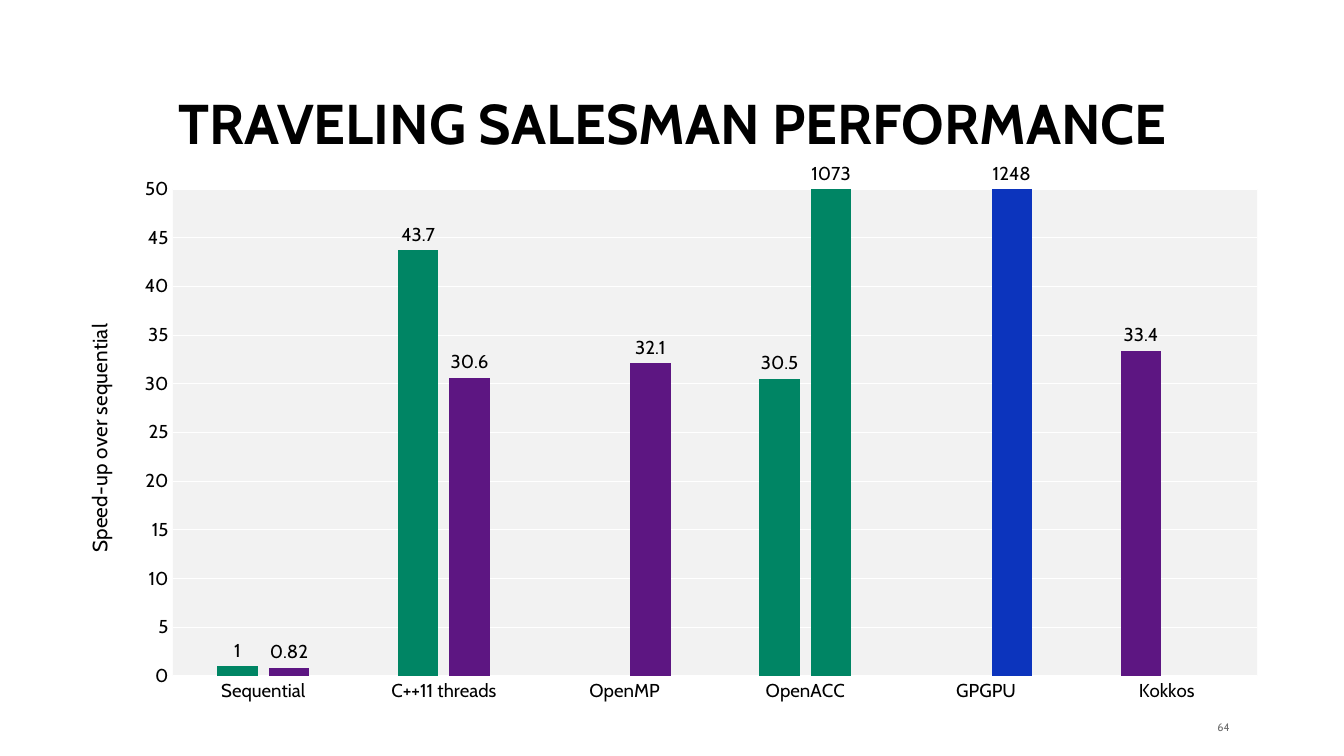
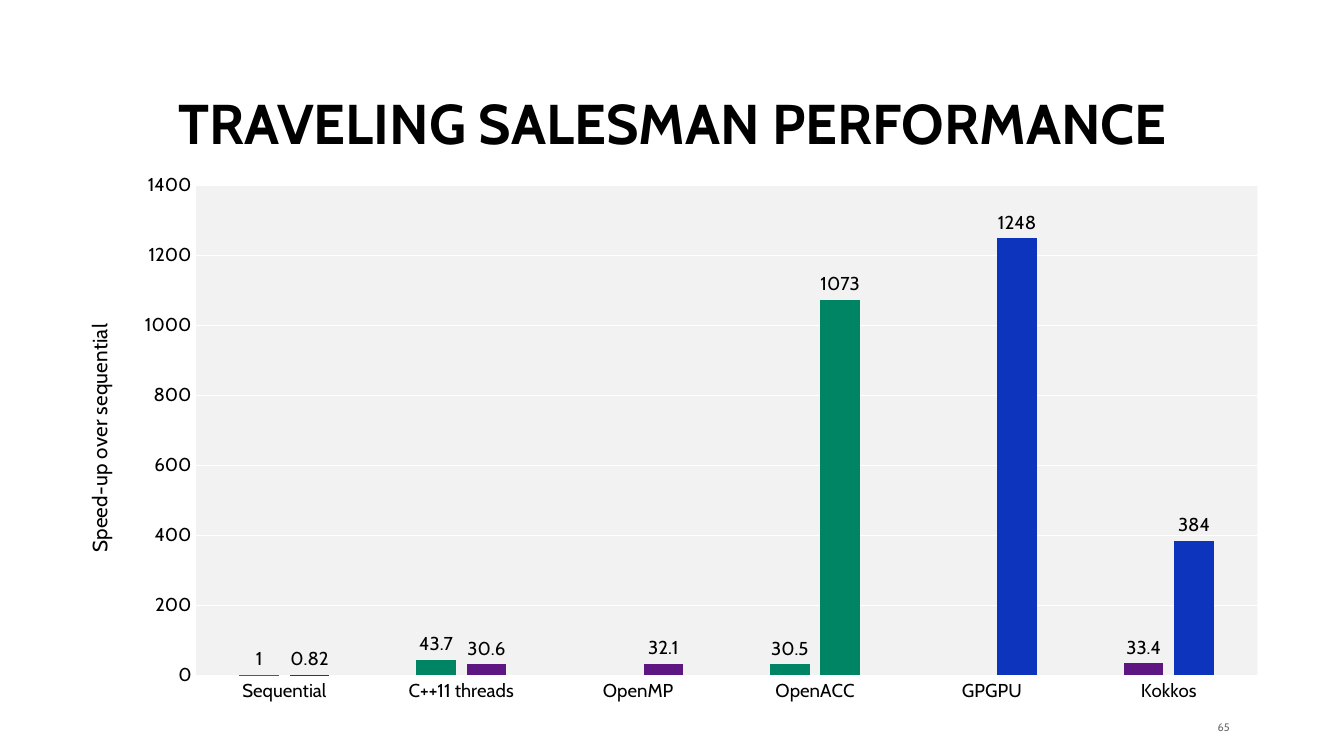
import pptx
import pptx.util
import pptx.chart.data
import pptx.dml.color
import pptx.enum.chart
import pptx.enum.text
import pptx.oxml
import pptx.oxml.ns

Pt = pptx.util.Pt
ALIGN = pptx.enum.text.PP_ALIGN
ANCHOR = pptx.enum.text.MSO_ANCHOR

BLACK, WHITE, GRAY, PANEL = "000000", "FFFFFF", "6E6E6E", "F2F2F2"
GREEN, PURPLE, BLUE = "008564", "5D1682", "0C34BD"

CHART_LEFT, CHART_TOP, CHART_WIDTH, CHART_HEIGHT = 41, 104.4, 783.4, 353.5

MODELS = ["Sequential", "C++11 threads", "OpenMP", "OpenACC", "GPGPU", "Kokkos"]
FIRST_RUNS = [1, 43.7, None, 30.5, None, 33.4]
SECOND_RUNS = [0.82, 30.6, 32.1, 1073, 1248]
SERIES_STYLES = [
    (GREEN, {5: PURPLE}),
    (PURPLE, {3: GREEN, 4: BLUE, 5: BLUE}),
]


def color(hex_string):
    return pptx.dml.color.RGBColor.from_string(hex_string)


def paint(fill, hex_string):
    fill.solid()
    fill.fore_color.rgb = color(hex_string)


def place(part, index, target, lengths):
    for layout in part.findall(pptx.oxml.ns.qn("c:layout")):
        part.remove(layout)
    modes = "".join(f'<c:{axis}Mode val="edge"/>' for axis in "xy")
    totals = (CHART_WIDTH, CHART_HEIGHT) * 2
    values = "".join(f'<c:{key} val="{Pt(length) / Pt(total)}"/>'
                     for key, length, total in zip("xywh", lengths, totals))
    part.insert(index, pptx.oxml.parse_xml(
        f'<c:layout {pptx.oxml.ns.nsdecls("c")}><c:manualLayout>'
        f"{target}{modes}{values}</c:manualLayout></c:layout>"))


class Deck:
    font_name = "Cabin"

    def __init__(self):
        self.presentation = pptx.Presentation()
        self.presentation.slide_width = Pt(864)
        self.presentation.slide_height = Pt(486)
        self.slide = None

    def add_slide(self, title, number):
        self.slide = self.presentation.slides.add_slide(self.presentation.slide_layouts[6])
        self.text(title, (39.6, 57.7, 785.5, 46.8), 36, BLACK, ALIGN.CENTER,
                  ANCHOR.BOTTOM, bold=True, line_spacing=0.9, insets=(7.2, 3.6))
        self.text(str(number), (767.5, 462, 23, 10.8), 7, GRAY, ALIGN.RIGHT, ANCHOR.MIDDLE)

    def style(self, font, size, hex_string, bold=False):
        font.name = self.font_name
        font.size = Pt(size)
        font.bold = bold
        font.color.rgb = color(hex_string)

    def text(self, words, box, size, hex_string, align, anchor,
             bold=False, line_spacing=1.0, insets=(0, 0)):
        frame = self.slide.shapes.add_textbox(*map(Pt, box)).text_frame
        frame.word_wrap = True
        frame.vertical_anchor = anchor
        frame.margin_left = frame.margin_right = Pt(insets[0])
        frame.margin_top = frame.margin_bottom = Pt(insets[1])
        frame.text = words
        paragraph = frame.paragraphs[0]
        paragraph.alignment = align
        paragraph.line_spacing = line_spacing
        self.style(paragraph.runs[0].font, size, hex_string, bold)

    def speedup_chart(self, second_runs, maximum, step, plot_area):
        data = pptx.chart.data.CategoryChartData()
        data.categories = MODELS
        data.add_series("Series 1", FIRST_RUNS)
        data.add_series("Series 2", second_runs)
        chart = self.slide.shapes.add_chart(
            pptx.enum.chart.XL_CHART_TYPE.COLUMN_CLUSTERED,
            Pt(CHART_LEFT), Pt(CHART_TOP), Pt(CHART_WIDTH), Pt(CHART_HEIGHT), data).chart
        self.style(chart.font, 10, WHITE)
        chart.has_title = False
        chart.has_legend = False
        bars = chart.plots[0]
        bars.gap_width = 219
        bars.overlap = -27
        bars.vary_by_categories = False
        for series, (base, exceptions) in zip(bars.series, SERIES_STYLES):
            self.bar_series(series, base, exceptions)
        self.axes(chart, maximum, step)
        self.plot_panel(chart, plot_area)

    def bar_series(self, series, base, exceptions):
        series.invert_if_negative = False
        paint(series.format.fill, base)
        for index, hex_string in exceptions.items():
            paint(series.points[index].format.fill, hex_string)
        labels = series.data_labels
        labels.show_value = True
        labels.position = pptx.enum.chart.XL_LABEL_POSITION.OUTSIDE_END
        self.style(labels.font, 12, BLACK)

    def axes(self, chart, maximum, step):
        models, speedup = chart.category_axis, chart.value_axis
        for axis in (models, speedup):
            axis.major_tick_mark = axis.minor_tick_mark = pptx.enum.chart.XL_TICK_MARK.NONE
            self.style(axis.tick_labels.font, 12, BLACK)
        models.format.line.width = Pt(0.75)
        models.format.line.color.rgb = color(WHITE)
        speedup.format.line.fill.background()
        speedup.minimum_scale = 0
        speedup.maximum_scale = maximum
        speedup.major_unit = step
        speedup.has_major_gridlines = True
        grid = speedup.major_gridlines.format.line
        grid.width = Pt(0.75)
        grid.color.rgb = color(WHITE)
        caption = speedup.axis_title.text_frame
        caption.text = "Speed-up over sequential"
        self.style(caption.paragraphs[0].runs[0].font, 13.3, BLACK)
        title = speedup.axis_title._element
        title.find(".//" + pptx.oxml.ns.qn("a:bodyPr")).set("rot", "-5400000")
        place(title, 1, "", (11.3, 101.5))

    def plot_panel(self, chart, plot_area):
        panel = chart._chartSpace.chart.plotArea
        place(panel, 0, '<c:layoutTarget val="inner"/>', plot_area)
        panel.append(pptx.oxml.parse_xml(
            f'<c:spPr {pptx.oxml.ns.nsdecls("c", "a")}><a:solidFill>'
            f'<a:srgbClr val="{PANEL}"/></a:solidFill></c:spPr>'))


def main():
    deck = Deck()
    views = [
        (64, SECOND_RUNS + [None], 50, 5, (70.2, 17.2, 697, 313)),
        (65, SECOND_RUNS + [384], 1400, 200, (85, 14.7, 682.3, 315)),
    ]
    for number, second_runs, maximum, step, plot_area in views:
        deck.add_slide("TRAVELING SALESMAN PERFORMANCE", number)
        deck.speedup_chart(second_runs, maximum, step, plot_area)
    deck.presentation.save("out.pptx")


if __name__ == "__main__":
    main()
